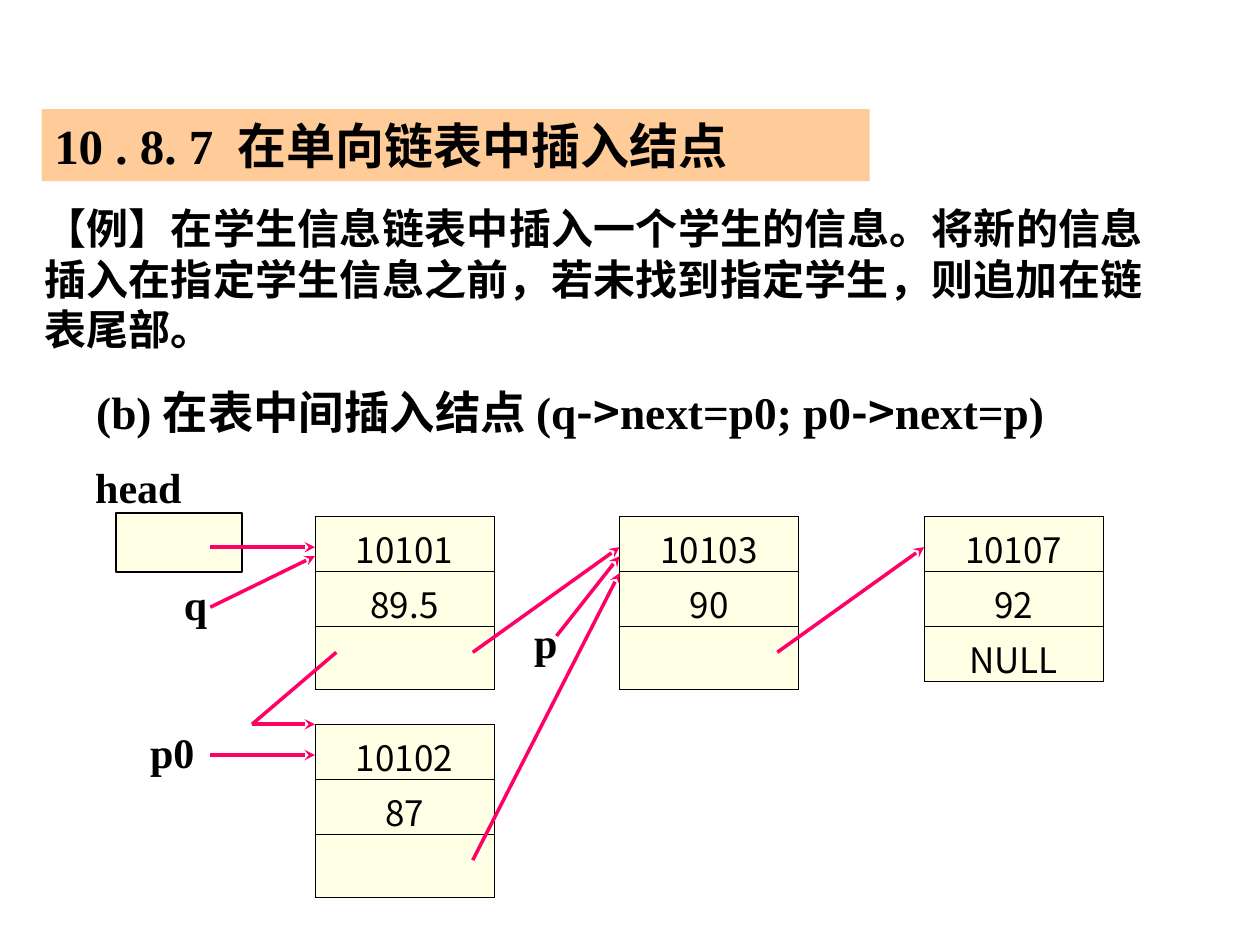
import pptx
import pptx.util
from lxml import etree
from pptx.dml.color import RGBColor
from pptx.enum.shapes import MSO_CONNECTOR, MSO_SHAPE
from pptx.enum.text import MSO_ANCHOR, MSO_AUTO_SIZE, PP_ALIGN
from pptx.oxml.ns import qn
from pptx.util import Cm, Pt

BLACK = RGBColor(0x00, 0x00, 0x00)
BANNER = RGBColor(0xFF, 0xCC, 0x99)
CREAM = RGBColor(0xFF, 0xFF, 0xCC)
PINK = RGBColor(0xFF, 0x00, 0x66)
SERIF = "Times New Roman"
SANS = "Noto Sans CJK SC"

NODE_W = 3.61
ROW_H = 1.11
EMPTY_ROW_H = 1.27
LINK_X, LINK_Y = 3.18, 2.74  # where a node's next pointer starts
ENTRY_Y = 0.62               # where an arrow reaches a node


def style(font, size, name=SERIF, bold=True):
    font.size, font.name, font.bold = Pt(size), name, bold
    font.color.rgb = BLACK


def set_half_transparent(parent):
    color = parent.find(qn("a:solidFill"))[0]
    etree.SubElement(color, qn("a:alpha"), val="50000")


def add_text(s, box, text, size, align=PP_ALIGN.LEFT, wrap=True):
    """Add a text box; every second piece of a list is set in the sans font."""
    tf = s.shapes.add_textbox(*map(Cm, box)).text_frame
    tf.word_wrap = wrap
    p = tf.paragraphs[0]
    p.alignment = align
    style(p.font, size)
    for i, piece in enumerate([text] if isinstance(text, str) else text):
        r = p.add_run()
        r.text = piece
        if i % 2:
            r.font.name = SANS
    return tf


def add_label(s, box, text):
    tf = add_text(s, box, text, 24, PP_ALIGN.CENTER, wrap=False)
    tf.vertical_anchor = MSO_ANCHOR.MIDDLE


def add_arrow(s, start, end, head=True):
    c = s.shapes.add_connector(MSO_CONNECTOR.STRAIGHT, *map(Cm, (*start, *end)))
    c.line.color.rgb = PINK
    c.line.width = Pt(2)
    if head:
        etree.SubElement(c.line._get_or_add_ln(), qn("a:tailEnd"), type="stealth")
    etree.SubElement(c._element.spPr, qn("a:effectLst"))


def add_title(s, box, text):
    sp = s.shapes.title
    sp.left, sp.top, sp.width, sp.height = map(Cm, box)
    sp.fill.solid()
    sp.fill.fore_color.rgb = BANNER
    tf = sp.text_frame
    tf.text = text
    tf.auto_size = MSO_AUTO_SIZE.NONE
    tf.vertical_anchor = MSO_ANCHOR.TOP
    p = tf.paragraphs[0]
    p.alignment = PP_ALIGN.LEFT
    style(p.font, 28)


def add_borders(cell):
    tcPr = cell._tc.get_or_add_tcPr()
    for i, side in enumerate(("lnL", "lnR", "lnT", "lnB")):
        ln = etree.Element(qn("a:" + side), w=str(Pt(0.45)))
        fill = etree.SubElement(ln, qn("a:solidFill"))
        etree.SubElement(fill, qn("a:srgbClr"), val=str(BLACK))
        tcPr.insert(i, ln)


def add_node(s, left, top, values):
    """Draw a list node: number, score and next pointer."""
    heights = [ROW_H if v else EMPTY_ROW_H for v in values]
    box = (left, top, NODE_W, sum(heights))
    table = s.shapes.add_table(len(values), 1, *map(Cm, box)).table
    for row, height, value in zip(table.rows, heights, values):
        row.height = Cm(height)
        cell = row.cells[0]
        cell.fill.solid()
        cell.fill.fore_color.rgb = CREAM
        set_half_transparent(cell._tc.tcPr)
        add_borders(cell)
        cell.margin_bottom = 0
        cell.text = value
        p = cell.text_frame.paragraphs[0]
        p.alignment = PP_ALIGN.CENTER
        style(p.font, 20, SANS, bold=False)


def add_head(s, left, top):
    sp = s.shapes.add_shape(MSO_SHAPE.RECTANGLE, *map(Cm, (left, top, 2.54, 1.19)))
    sp.shadow.inherit = False
    sp.fill.solid()
    sp.fill.fore_color.rgb = CREAM
    set_half_transparent(sp._element.spPr)
    sp.line.color.rgb = BLACK
    sp.line.width = Pt(1.5)
    add_label(s, (left - 0.82, top - 1.07, 2.54, 1.07), "head")


def add_linked_list(s, left, top):
    """Draw the list, the inserted node below it and all pointers."""
    first, second, third = (left + i * 6.14 for i in range(3))
    new_top = top + 4.19
    start_x = left - 2.11
    entry = top + ENTRY_Y

    add_head(s, left - 4.01, top - 0.07)
    add_node(s, first, top, ("10101", "89.5", ""))
    add_node(s, second, top, ("10103", "90", ""))
    add_node(s, third, top, ("10107", "92", "NULL"))
    add_node(s, first, new_top, ("10102", "87", ""))

    add_label(s, (left - 2.9, top + 1.22, 0.99, 1.07), "q")
    add_label(s, (second - 2.12, top + 2.08, 1.27, 0.89), "p")
    add_label(s, (left - 3.61, new_top, 1.47, 1.09), "p0")

    bend = (left - 1.27, new_top)
    add_arrow(s, (first + 0.43, top + LINK_Y), bend, head=False)
    for start, end in (
        ((start_x, entry), (first, entry)),
        ((start_x, top + 1.83), (first, top + 0.8)),
        ((second - 1.27, top + 2.41), (second, top + 0.8)),
        ((start_x, new_top + ENTRY_Y), (first, new_top + ENTRY_Y)),
        ((first + LINK_X, top + LINK_Y), (second, entry)),
        ((second + LINK_X, top + LINK_Y), (third, entry)),
        ((first + LINK_X, new_top + LINK_Y), (second, top + 1.14)),
        (bend, (first, new_top)),
    ):
        add_arrow(s, start, end)


def main():
    prs = pptx.Presentation()
    prs.slide_width, prs.slide_height = Cm(25.4), Cm(19.05)
    s = prs.slides.add_slide(prs.slide_layouts[5])
    add_title(s, (0.84, 2.2, 16.69, 1.45), "10 . 8. 7  在单向链表中插入结点")
    add_text(s, (0.64, 3.96, 22.66, 3.66),
             ["【例】", "在学生信息链表中插入一个学生的信息。将新的信息插入在指定学生信息之前，"
              "若未找到指定学生，则追加在链表尾部。"], 24, PP_ALIGN.JUSTIFY)
    add_text(s, (1.69, 7.62, 21.79, 1.55),
             ["(b) 在表中间插入结点 (q", "->", "next=p0; p0", "->", "next=p)"], 25.9)
    add_linked_list(s, 6.35, 10.41)
    prs.save("out.pptx")


if __name__ == "__main__":
    main()
